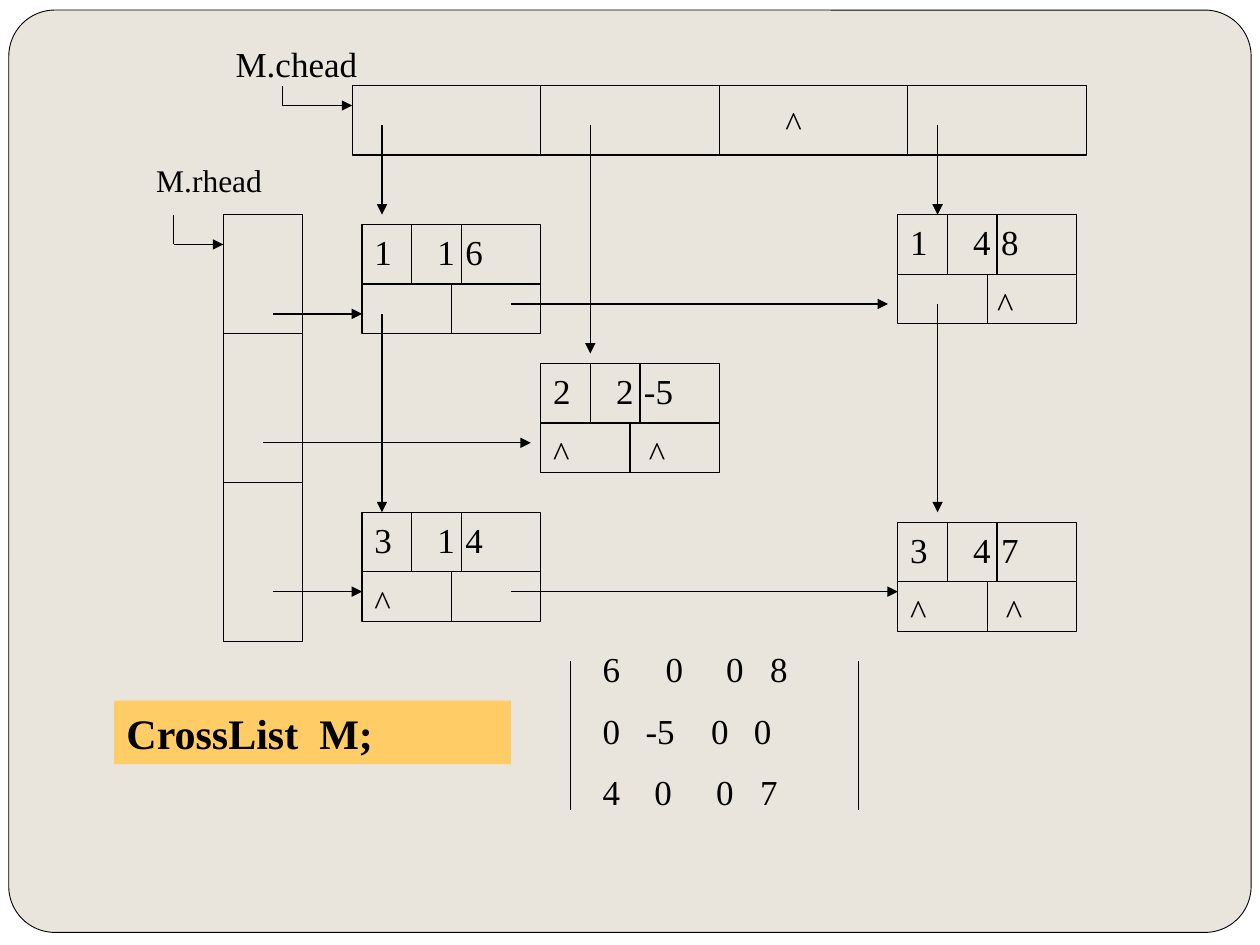
from dataclasses import dataclass

from lxml.etree import SubElement
from pptx import Presentation
from pptx.dml.color import RGBColor
from pptx.enum.shapes import MSO_CONNECTOR, MSO_SHAPE
from pptx.enum.text import PP_ALIGN
from pptx.oxml.ns import qn
from pptx.util import Inches, Mm, Pt


@dataclass(frozen=True)
class Theme:
    """Colours, font and sizes in points."""
    ink: RGBColor = RGBColor(0, 0, 0)
    white: RGBColor = RGBColor(255, 255, 255)
    panel: RGBColor = RGBColor(0xE9, 0xE5, 0xDC)
    accent: RGBColor = RGBColor(0xFF, 0xCC, 0x66)
    font: str = "Times New Roman"
    body: int = 20
    small: int = 18
    title: int = 24
    stroke: float = 0.75
    frame_stroke: float = 0.5


@dataclass(frozen=True)
class Entry:
    """A line of text with tab stops in inches and an optional leading number."""
    text: str
    stops: tuple[float, ...] = ()
    number: int | None = None


@dataclass(frozen=True)
class Node:
    """A cross-list node at a grid column and row."""
    column: int
    row: int
    entries: tuple[Entry, ...]


@dataclass(frozen=True)
class Label:
    """Text on the grid, without a frame."""
    column: int
    row: int
    width: int
    height: int
    entries: tuple[Entry, ...]
    size: int
    align: PP_ALIGN = PP_ALIGN.LEFT


THEME = Theme()
NODE_WIDTH, NODE_HEIGHT, NODE_SPLIT = 18, 11, 6
NODES = (
    Node(36, 22, (Entry("1\t6", (0.92,), 1),)),
    Node(54, 36, (Entry("2\t-5", (0.78,), 2), Entry("^\t^", (0.76,)))),
    Node(36, 51, (Entry("1\t4", (0.92,), 3), Entry("^"))),
    Node(90, 21, (Entry("4\t8", (0.92,), 1), Entry("\t^", (0.69,)))),
    Node(90, 52, (Entry("4\t7", (0.85,), 3), Entry("^\t^", (0.76,)))),
)
LABELS = (
    Label(22, 3, 19, 6, (Entry("M.chead"),), THEME.body),
    Label(14, 15, 16, 5, (Entry("M.rhead"),), THEME.small),
    Label(73, 9, 13, 5, (Entry("^"),), THEME.body, PP_ALIGN.CENTER),
    Label(59, 64, 26, 18, (
        Entry("0\t0\t8", (0.98, 1.33), 6),
        Entry("0\t-5\t0\t0", (0.34, 0.86, 1.2)),
        Entry("4\t0\t0\t7", (0.41, 0.9, 1.25)),
    ), THEME.body),
)
HEAD_ARRAYS = ((22, 21, 8, 43), (35, 8, 74, 7))
PLAIN_LINES = (
    (54, 8, 54, 15), (72, 8, 72, 15), (91, 8, 91, 15),
    (22, 33, 30, 33), (22, 48, 30, 48),
    (28, 8, 28, 10), (17, 21, 17, 24),
    (57, 66, 57, 81), (86, 66, 86, 81),
)
ARROWS = (
    (28, 10, 35, 10), (17, 24, 22, 24),
    (38, 12, 38, 21), (38, 31, 38, 51), (59, 12, 59, 35),
    (94, 12, 94, 21), (94, 30, 94, 51),
    (27, 31, 36, 31), (51, 30, 89, 30), (26, 44, 53, 44),
    (27, 59, 36, 59), (51, 59, 90, 59),
)


def across(column: float) -> Mm:
    """Return the horizontal place of a two-millimetre grid column."""
    return Mm(2 * column + 1)


def down(row: float) -> Mm:
    """Return the vertical place of a two-millimetre grid row."""
    return Mm(2 * row + 1.27)


def style_box(box, fill: RGBColor | None, stroke: float | None) -> None:
    """Set the fill and the outline of a shape."""
    box.shadow.inherit = False
    if fill is None:
        box.fill.background()
    else:
        box.fill.solid()
        box.fill.fore_color.rgb = fill
    if stroke is None:
        box.line.fill.background()
    else:
        box.line.color.rgb = THEME.ink
        box.line.width = Pt(stroke)


def draw_box(page, column: int, row: int, width: int, height: int,
             fill: RGBColor | None = None, stroke: float | None = THEME.stroke):
    """Draw a rectangle on the grid."""
    box = page.shapes.add_shape(MSO_SHAPE.RECTANGLE, across(column), down(row),
                                Mm(2 * width), Mm(2 * height))
    style_box(box, fill, stroke)
    return box


def draw_line(page, ends: tuple[int, int, int, int], arrow: bool = False) -> None:
    """Draw a line between two grid points."""
    left, top, right, bottom = ends
    line = page.shapes.add_connector(MSO_CONNECTOR.STRAIGHT, across(left), down(top),
                                     across(right), down(bottom))
    line.line.color.rgb = THEME.ink
    line.line.width = Pt(THEME.stroke)
    properties = line._element.spPr
    if arrow:
        SubElement(properties.find(qn("a:ln")), qn("a:tailEnd"), type="triangle")
    SubElement(properties, qn("a:effectLst"))


def write(frame, entries: tuple[Entry, ...], size: int,
          align: PP_ALIGN = PP_ALIGN.LEFT, bold: bool = False) -> None:
    """Fill a text frame with entries."""
    frame.word_wrap = True
    frame.text = "\n".join(entry.text for entry in entries)
    for para, entry in zip(frame.paragraphs, entries):
        para.alignment = align
        para.space_before = Pt(size * 0.56)
        properties = para._p.get_or_add_pPr()
        if entry.number is not None:
            properties.set("marL", str(Inches(0.5)))
            properties.set("indent", str(Inches(-0.5)))
            SubElement(properties, qn("a:buFont"), typeface=THEME.font)
            SubElement(properties, qn("a:buAutoNum"), type="arabicPlain",
                       startAt=str(entry.number))
        if entry.stops:
            tabs = SubElement(properties, qn("a:tabLst"))
            for stop in entry.stops:
                SubElement(tabs, qn("a:tab"), pos=str(Inches(stop)), algn="l")
        for span in para.runs:
            span.font.name = THEME.font
            span.font.size = Pt(size)
            span.font.bold = bold
            span.font.color.rgb = THEME.ink


def draw_label(page, label: Label) -> None:
    """Place a text box on the grid."""
    box = page.shapes.add_textbox(across(label.column), down(label.row),
                                  Mm(2 * label.width), Mm(2 * label.height))
    write(box.text_frame, label.entries, label.size, label.align)


def draw_node(page, node: Node) -> None:
    """Draw a node: three fields above two link cells."""
    left, top = node.column, node.row
    middle, bottom = top + NODE_SPLIT, top + NODE_HEIGHT
    draw_box(page, left, top, NODE_WIDTH, NODE_HEIGHT)
    draw_line(page, (left, middle, left + NODE_WIDTH, middle))
    for offset in (5, 10):
        draw_line(page, (left + offset, top, left + offset, middle))
    draw_line(page, (left + 9, middle, left + 9, bottom))
    draw_label(page, Label(left, top, NODE_WIDTH, 12, node.entries, THEME.body))


def main() -> None:
    """Build the cross-list slide."""
    deck = Presentation()
    deck.slide_width, deck.slide_height = Inches(10), Inches(7.5)
    page = deck.slides.add_slide(deck.slide_layouts[6])
    page.background.fill.solid()
    page.background.fill.fore_color.rgb = THEME.white
    panel = page.shapes.add_shape(MSO_SHAPE.ROUNDED_RECTANGLE, Inches(0.07), Inches(0.08),
                                  Inches(9.86), Inches(7.32))
    panel.adjustments[0] = 0.05
    style_box(panel, THEME.panel, THEME.frame_stroke)
    for array in HEAD_ARRAYS:
        draw_box(page, *array)
    for node in NODES:
        draw_node(page, node)
    for ends in PLAIN_LINES:
        draw_line(page, ends)
    for ends in ARROWS:
        draw_line(page, ends, arrow=True)
    for label in LABELS:
        draw_label(page, label)
    banner = draw_box(page, 11, 70, 40, 6.4, THEME.accent, None)
    write(banner.text_frame, (Entry("CrossList  M;"),), THEME.title, bold=True)
    deck.save("out.pptx")


if __name__ == "__main__":
    main()
